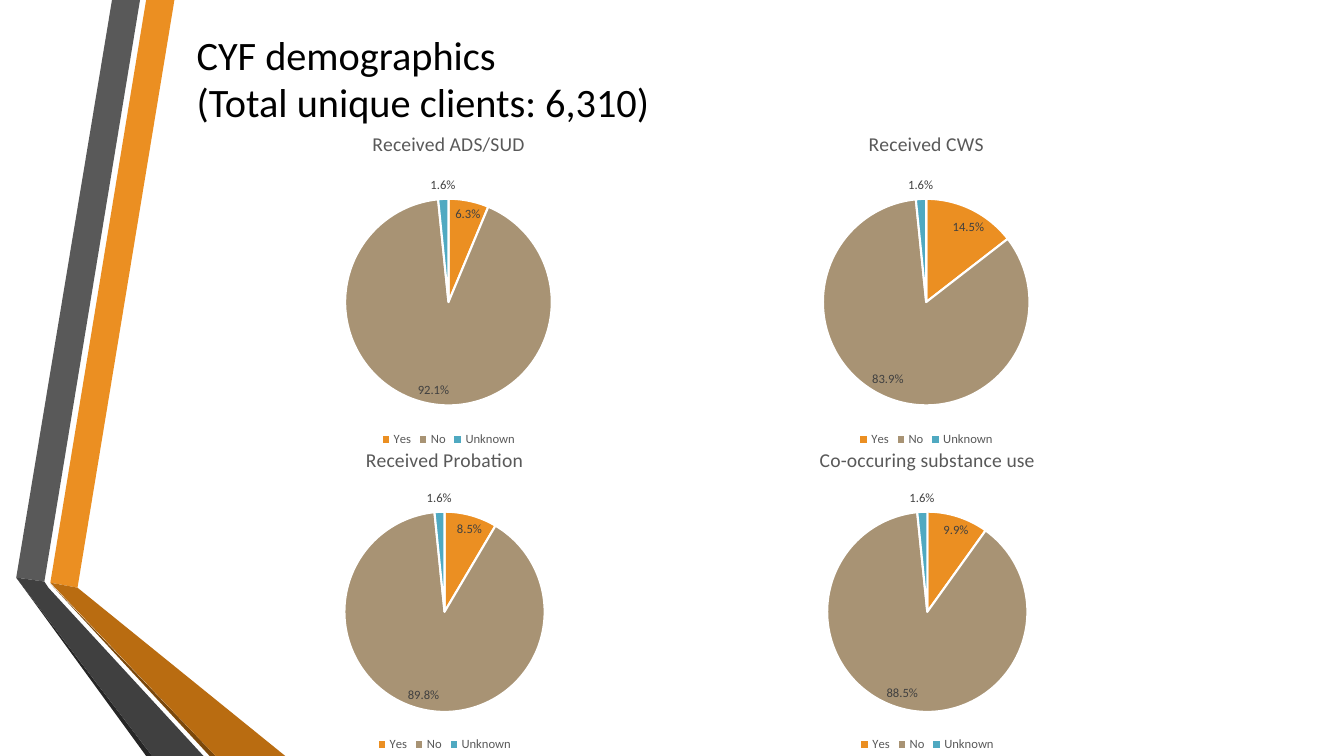
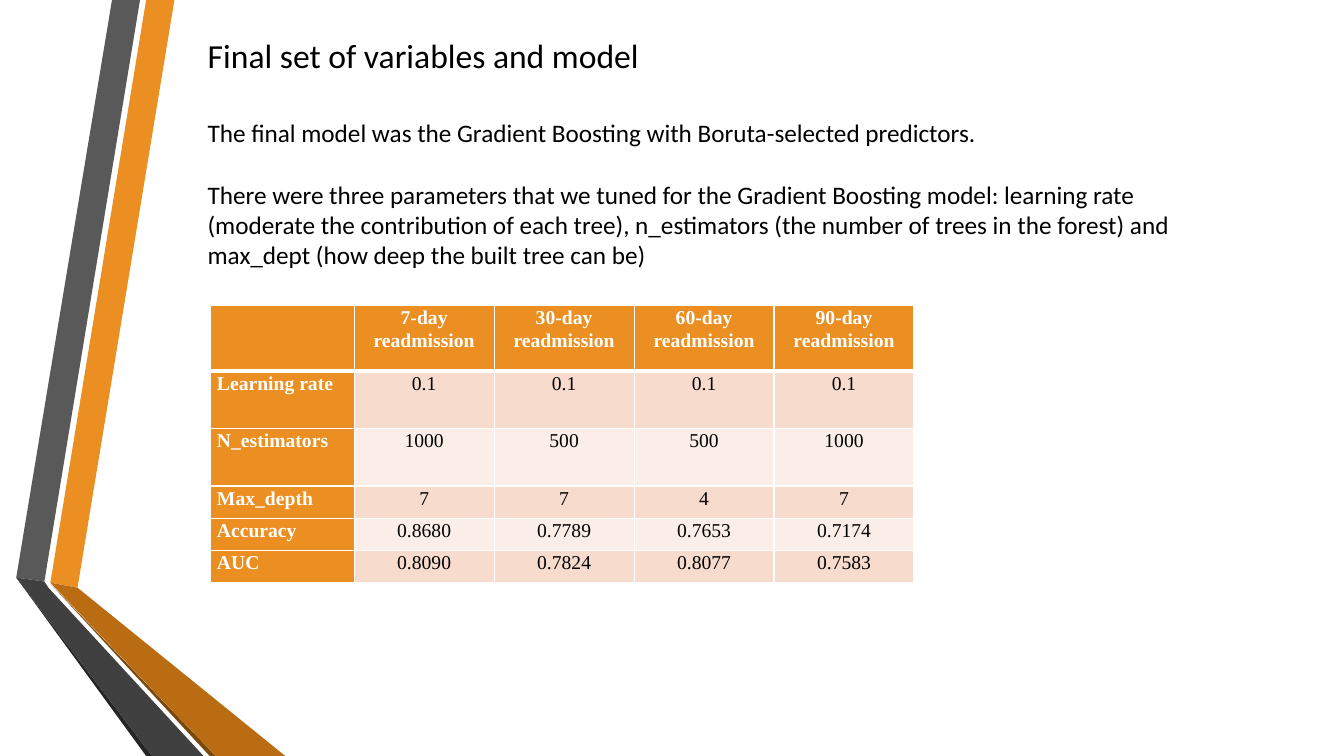
from dataclasses import dataclass
from lxml.etree import SubElement
from pptx import Presentation
from pptx.chart.data import CategoryChartData
from pptx.dml.color import RGBColor
from pptx.enum.chart import XL_CHART_TYPE, XL_LABEL_POSITION, XL_LEGEND_POSITION
from pptx.enum.text import MSO_ANCHOR, MSO_AUTO_SIZE, PP_ALIGN
from pptx.oxml import parse_xml
from pptx.oxml.ns import nsdecls, qn
from pptx.util import Pt


@dataclass(frozen=True)
class Theme:
    sans: str = "Calibri"
    serif: str = "Times New Roman"
    black: str = "000000"
    white: str = "FFFFFF"
    orange: str = "EB8F22"
    rust: str = "B96C11"
    brown: str = "7B480B"
    tan: str = "A89374"
    teal: str = "4FA9C1"
    gray: str = "595959"
    slate: str = "404040"
    coal: str = "262626"
    peach: str = "F7DBCD"
    blush: str = "FBEEE8"
    head: float = 28.8
    subhead: float = 24
    body: float = 18
    cell: float = 14
    name: float = 14
    chart: float = 10
    label: float = 9


THEME = Theme()
BANDS = [
    (THEME.orange, [(36, 416.2), (55.4, 419.8), (124.6, 0), (104.4, 0)]),
    (THEME.gray, [(100, 0), (80, 0), (11.6, 412.6), (31.7, 415.4)]),
    (THEME.coal, [(11.6, 412.6), (104.4, 540), (108.7, 540)]),
    (THEME.brown, [(36, 416.9), (149.8, 540), (154.1, 540)]),
    (THEME.rust, [(36, 416.2), (154.1, 540), (203.8, 540), (55.4, 419.8)]),
    (THEME.slate, [(145.4, 540), (34.6, 419.8), (31.7, 415.4), (11.6, 412.6),
                   (108.7, 540)]),
]
PIES = [
    ("Received ADS/SUD", (165.6, 82, 309.6, 240), (0.063, 0.921, 0.016)),
    ("Received CWS", (483.8, 82, 355.7, 240), (0.145, 0.839, 0.016)),
    ("Received Probation", (121, 307.4, 393.1, 232.6), (0.085, 0.898, 0.016)),
    ("Co-occuring substance use", (464.4, 307.4, 396, 232.6), (0.099, 0.885, 0.016)),
]
ROWS = [
    ("", *(f"{days}-day readmission" for days in (7, 30, 60, 90))),
    ("Learning rate", "0.1", "0.1", "0.1", "0.1"),
    ("N_estimators", "1000", "500", "500", "1000"),
    ("Max_depth", "7", "7", "4", "7"),
    ("Accuracy", "0.8680", "0.7789", "0.7653", "0.7174"),
    ("AUC", "0.8090", "0.7824", "0.8077", "0.7583"),
]
TEXT = [
    "The final model was the Gradient Boosting with Boruta-selected predictors.",
    "There were three parameters that we tuned for the Gradient Boosting model: "
    "learning rate (moderate the contribution of each tree), n_estimators (the number "
    "of trees in the forest) and max_dept (how deep the built tree can be)",
]


class Deck:
    def __init__(self, theme):
        self.theme = theme
        self.prs = Presentation()
        self.prs.slide_width, self.prs.slide_height = Pt(960), Pt(540)
        self.plan = self.prs.slide_layouts[5]
        self.slide = None

    def page(self):
        self.slide = self.prs.slides.add_slide(self.plan)

    def style(self, font, size, color, bold=False, face=None):
        font.name = face or self.theme.sans
        font.size = Pt(size)
        font.bold = bold
        font.color.rgb = RGBColor.from_string(color)

    def run(self, para, text, size, color=None, **look):
        run = para.add_run()
        run.text = text
        self.style(run.font, size, color or self.theme.black, **look)

    def place(self, shape, box):
        shape.left, shape.top, shape.width, shape.height = map(Pt, box)

    def bands(self, bands):
        for rank, (color, dots) in enumerate(bands):
            first, *rest = [(Pt(x), Pt(y)) for x, y in dots]
            pen = self.slide.shapes.build_freeform(*first)
            pen.add_line_segments(rest, close=True)
            band = pen.convert_to_shape()
            band.shadow.inherit = False
            band.fill.solid()
            band.fill.fore_color.rgb = RGBColor.from_string(color)
            band.line.fill.background()
            band.element.nvSpPr.cNvPr.set("id", str(100 + rank))
            self.plan.shapes.element.append(band.element)

    def title(self, lines, box, size, anchor):
        head = self.slide.shapes.title
        self.place(head, box)
        frame = head.text_frame
        frame.word_wrap = True
        frame.auto_size = MSO_AUTO_SIZE.NONE
        frame.vertical_anchor = anchor
        para = frame.paragraphs[0]
        para.alignment = PP_ALIGN.LEFT
        para.line_spacing = 0.98
        for rank, line in enumerate(lines):
            if rank:
                para.add_line_break()
            self.run(para, line, size)

    def text(self, lines, box, gap):
        frame = self.slide.shapes.add_textbox(*map(Pt, box)).text_frame
        frame.word_wrap = True
        for rank, line in enumerate(lines):
            para = frame.add_paragraph() if rank else frame.paragraphs[0]
            para.space_before = Pt(gap if rank else 0)
            self.run(para, line, self.theme.body)

    def pie(self, name, box, vals):
        look = self.theme
        data = CategoryChartData(number_format="0.0%")
        data.categories = ["Yes", "No", "Unknown"]
        data.add_series("Series 1", vals)
        chart = self.slide.shapes.add_chart(
            XL_CHART_TYPE.PIE, *map(Pt, box), data).chart
        self.style(chart.font, look.chart, look.black)
        chart.has_title = True
        self.run(chart.chart_title.text_frame.paragraphs[0], name, look.name, look.gray)
        chart.chart_title.include_in_layout = False
        chart.has_legend = True
        chart.legend.position = XL_LEGEND_POSITION.BOTTOM
        chart.legend.include_in_layout = False
        self.style(chart.legend.font, look.label, look.gray)
        plot = chart.plots[0]
        plot.vary_by_categories = True
        for rank, color in enumerate((look.orange, look.tan, look.teal)):
            part = plot.series[0].points[rank].format
            part.fill.solid()
            part.fill.fore_color.rgb = RGBColor.from_string(color)
            part.line.width = Pt(1.5)
            part.line.color.rgb = RGBColor.from_string(look.white)
        plot.has_data_labels = True
        tags = plot.data_labels
        tags.show_value, tags.show_percentage = True, False
        tags.number_format, tags.number_format_is_linked = "0.0%", False
        tags.position = XL_LABEL_POSITION.BEST_FIT
        self.style(tags.font, look.label, look.slate)
        self.frame(chart, box)

    def frame(self, chart, box):
        high = 0.615
        wide = high * box[3] / box[2]
        area = chart.element.find(".//" + qn("c:plotArea"))
        for old in area.findall(qn("c:layout")):
            area.remove(old)
        grid = parse_xml(f"<c:layout {nsdecls('c')}><c:manualLayout/></c:layout>")
        parts = (("layoutTarget", "inner"), ("xMode", "edge"), ("yMode", "edge"),
                 ("x", (1 - wide) / 2), ("y", 0.25), ("w", wide), ("h", high))
        for tag, val in parts:
            SubElement(grid[0], qn(f"c:{tag}")).set("val", str(val))
        area.insert(0, grid)

    def edge(self, cell, side, width):
        line = parse_xml(
            f'<a:{side} {nsdecls("a")} w="{Pt(width)}"><a:solidFill>'
            f'<a:srgbClr val="{self.theme.white}"/></a:solidFill></a:{side}>')
        cell.fill.background()
        props = cell._tc.tcPr
        props.insert(len(props) - 1, line)

    def table(self, rows, spot, wides, highs):
        look = self.theme
        grid = self.slide.shapes.add_table(
            len(rows), len(wides), *map(Pt, (*spot, sum(wides), sum(highs)))).table
        grid.horz_banding = False
        for col, wide in zip(grid.columns, wides):
            col.width = Pt(wide)
        for r, (row, high) in enumerate(zip(rows, highs)):
            grid.rows[r].height = Pt(high)
            for c, text in enumerate(row):
                self.cell(grid.cell(r, c), text, r, c, look)

    def cell(self, cell, text, r, c, look):
        head = r == 0 or c == 0
        cell.margin_left = cell.margin_right = Pt(5)
        cell.margin_top = cell.margin_bottom = Pt(0)
        for side in ("lnL", "lnR", "lnT", "lnB"):
            thick = (r, side) in ((0, "lnB"), (1, "lnT"))
            self.edge(cell, side, 3 if thick else 1)
        cell.fill.solid()
        fill = look.orange if head else look.peach if r % 2 else look.blush
        cell.fill.fore_color.rgb = RGBColor.from_string(fill)
        para = cell.text_frame.paragraphs[0]
        para.alignment = PP_ALIGN.CENTER if c else PP_ALIGN.LEFT
        para.line_spacing = 1.07
        if text:
            self.run(para, text, look.cell, look.white if head else look.black,
                     bold=head, face=look.serif)


def main():
    deck = Deck(THEME)
    deck.page()
    deck.bands(BANDS)
    deck.title(["CYF demographics", "(Total unique clients: 6,310)"],
               (133.2, 16.6, 789, 80.6), THEME.head, MSO_ANCHOR.MIDDLE)
    for pie in PIES:
        deck.pie(*pie)

    deck.page()
    deck.title(["Final set of variables and model"],
               (141.2, 22.4, 328.4, 36), THEME.subhead, MSO_ANCHOR.TOP)
    deck.table(ROWS, (150, 218.2), [103] + [100] * 4, [47, 41, 41, 23, 23, 23])
    deck.text(TEXT, (141.2, 80.6, 754.6, 138.2), 22)
    deck.prs.save("out.pptx")


if __name__ == "__main__":
    main()
